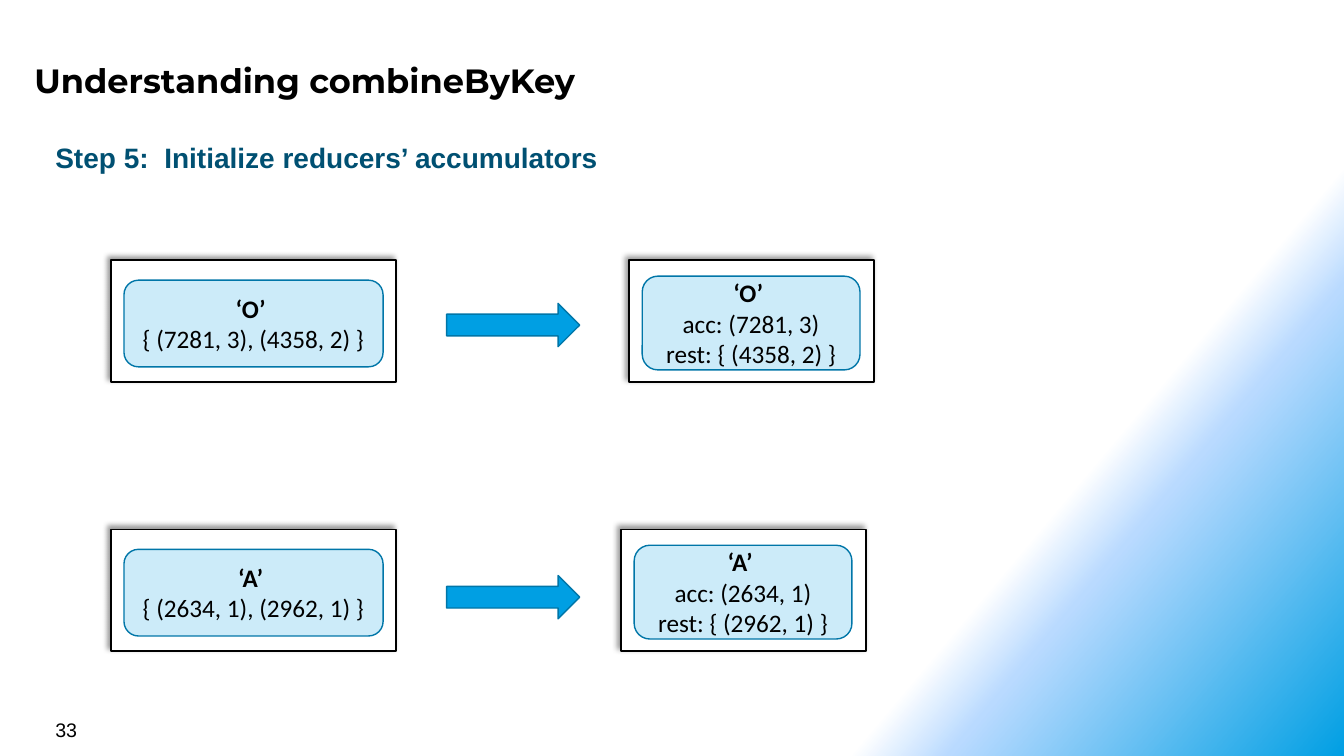
from lxml.etree import SubElement
from pptx import Presentation
from pptx.dml.color import RGBColor
from pptx.enum.shapes import MSO_SHAPE
from pptx.enum.text import MSO_ANCHOR, MSO_AUTO_SIZE, PP_ALIGN
from pptx.oxml.ns import qn
from pptx.util import Pt

PX = 9144  # 100 px to the inch
BLACK = RGBColor(0x00, 0x00, 0x00)
WHITE = RGBColor(0xFF, 0xFF, 0xFF)
PALE_BLUE = RGBColor(0xB9, 0xDA, 0xFF)
BLUE = RGBColor(0x00, 0x9F, 0xE3)
EDGE_BLUE = RGBColor(0x00, 0x76, 0xA8)
STEP_BLUE = RGBColor(0x00, 0x50, 0x72)


def px(*lengths):
    return [length * PX for length in lengths]


def add_color(parent, color, percent=100):
    element = SubElement(parent, qn("a:srgbClr"), val=str(color))
    if percent < 100:
        SubElement(element, qn("a:alpha"), val=str(percent * 1000))


def paint_background(page):
    fill = page.background.fill
    fill.gradient()
    fill.gradient_angle = 320
    stops = page._element.find(".//" + qn("a:gsLst"))
    for stop in list(stops):
        stops.remove(stop)
    for position, color, percent in ((75, WHITE, 100), (80, PALE_BLUE, 50), (100, BLUE, 100)):
        stop = SubElement(stops, qn("a:gs"), pos=str(position * 1000))
        add_color(stop, color, percent)


def set_font(para, name, size, color=BLACK, bold=False):
    font = para.font
    font.name, font.size, font.bold = name, Pt(size), bold
    font.color.rgb = color


def add_title(page, text):
    title = page.shapes.title
    title.left, title.top, title.width, title.height = px(26, 51, 1226, 55)
    frame = title.text_frame
    frame.margin_left, frame.margin_top, frame.margin_right, frame.margin_bottom = px(8, 8, 8, 8)
    frame.vertical_anchor = MSO_ANCHOR.TOP
    frame.auto_size = MSO_AUTO_SIZE.NONE
    frame.text = text
    para = frame.paragraphs[0]
    para.alignment = PP_ALIGN.LEFT
    set_font(para, "Montserrat", 24, bold=True)


def add_label(page, place, text, size, color=BLACK, bold=False):
    box = page.shapes.add_textbox(*px(*place))
    frame = box.text_frame
    frame.text = text
    set_font(frame.paragraphs[0], "Arial", size, color, bold)
    return frame


def add_block(page, kind, place, fill, line):
    block = page.shapes.add_shape(kind, *px(*place))
    block.shadow.inherit = False
    block.fill.solid()
    block.fill.fore_color.rgb = fill
    block.line.color.rgb = line
    block.line.width = Pt(1)
    return block


def add_card(page, left, top, width, inner_top, inner_size, lines):
    # Framed sheet with a soft shadow to the upper left
    sheet = add_block(page, MSO_SHAPE.RECTANGLE, (left, top, width, 121), WHITE, BLACK)
    effects = sheet._element.spPr.find(qn("a:effectLst"))
    shadow = SubElement(effects, qn("a:outerShdw"), blurRad=str(Pt(4)), dist=str(Pt(3)),
                        dir="13500000", algn="br", rotWithShape="0")
    add_color(shadow, BLACK, 40)

    # Translucent panel with the key and its values
    panel = add_block(page, MSO_SHAPE.ROUNDED_RECTANGLE,
                      (left + 13, top + inner_top, *inner_size), BLUE, EDGE_BLUE)
    tint = panel._element.spPr.find(qn("a:solidFill")).find(qn("a:srgbClr"))
    SubElement(tint, qn("a:alpha"), val="20000")
    frame = panel.text_frame
    frame.vertical_anchor = MSO_ANCHOR.MIDDLE
    frame.text = "\n".join(lines)
    for number, para in enumerate(frame.paragraphs):
        para.alignment = PP_ALIGN.CENTER
        set_font(para, "Calibri", 18, bold=number == 0)


def main():
    deck = Presentation()
    deck.slide_width, deck.slide_height = px(1333, 750)
    page = deck.slides.add_slide(deck.slide_layouts[5])
    paint_background(page)

    # Headings and page number
    add_title(page, "Understanding combineByKey")
    step = add_label(page, (45, 134, 571, 44), "Step 5:  Initialize reducers’ accumulators",
                     20, STEP_BLUE, True)
    step.word_wrap = False
    step.auto_size = MSO_AUTO_SIZE.SHAPE_TO_FIT_TEXT
    number = add_label(page, (45, 707, 311, 33), "33", 14)
    number.word_wrap = True

    # One row per key: grouped values, arrow, initialized accumulator
    rows = (
        ("‘O’ ", "(7281, 3)", "(4358, 2)", 258, 301, 624),
        ("‘A’ ", "(2634, 1)", "(2962, 1)", 525, 571, 616),
    )
    for key, first, rest, top, arrow_top, result_left in rows:
        add_card(page, 110, top, 283, 20, (257, 86), (key, f"{{ {first}, {rest} }}"))
        add_block(page, MSO_SHAPE.RIGHT_ARROW, (443, arrow_top, 132, 43), BLUE, EDGE_BLUE)
        add_card(page, result_left, top, 243, 16, (216, 93),
                 (key, f"acc: {first}", f"rest: {{ {rest} }}"))

    deck.save("out.pptx")


if __name__ == "__main__":
    main()
